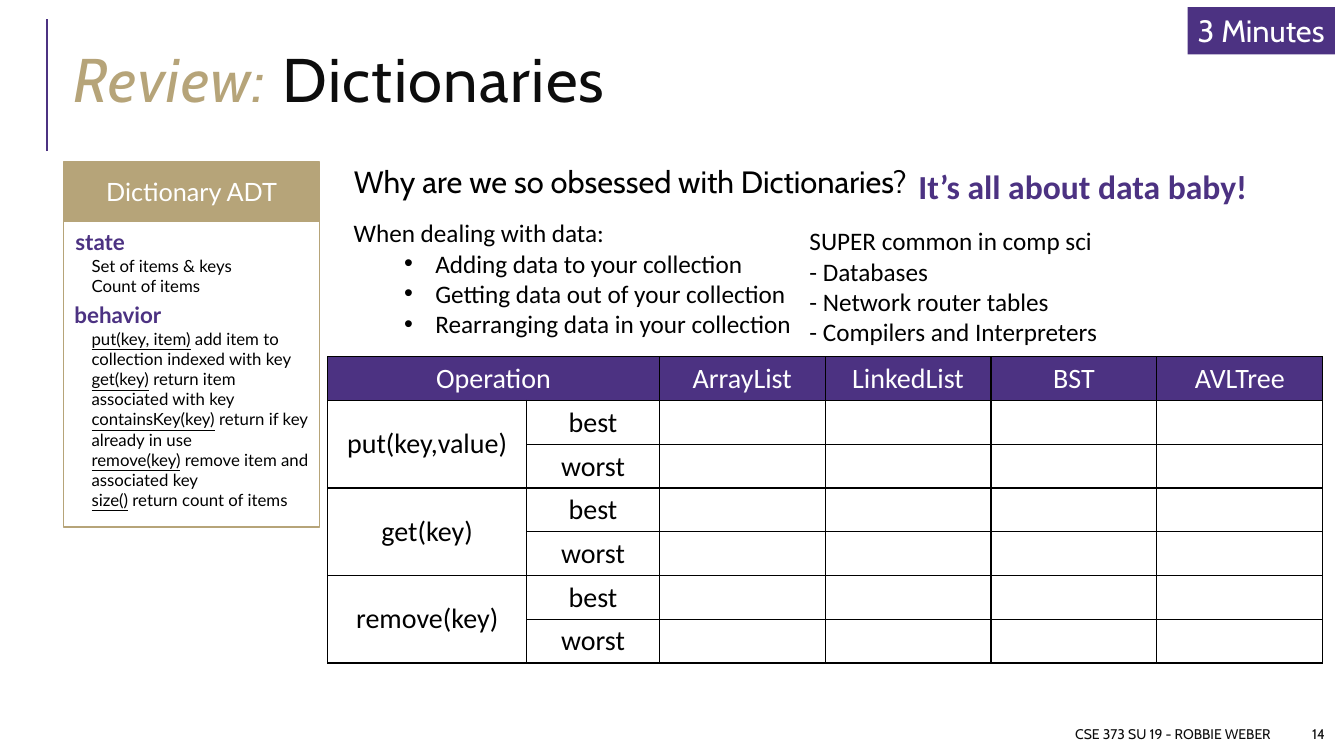
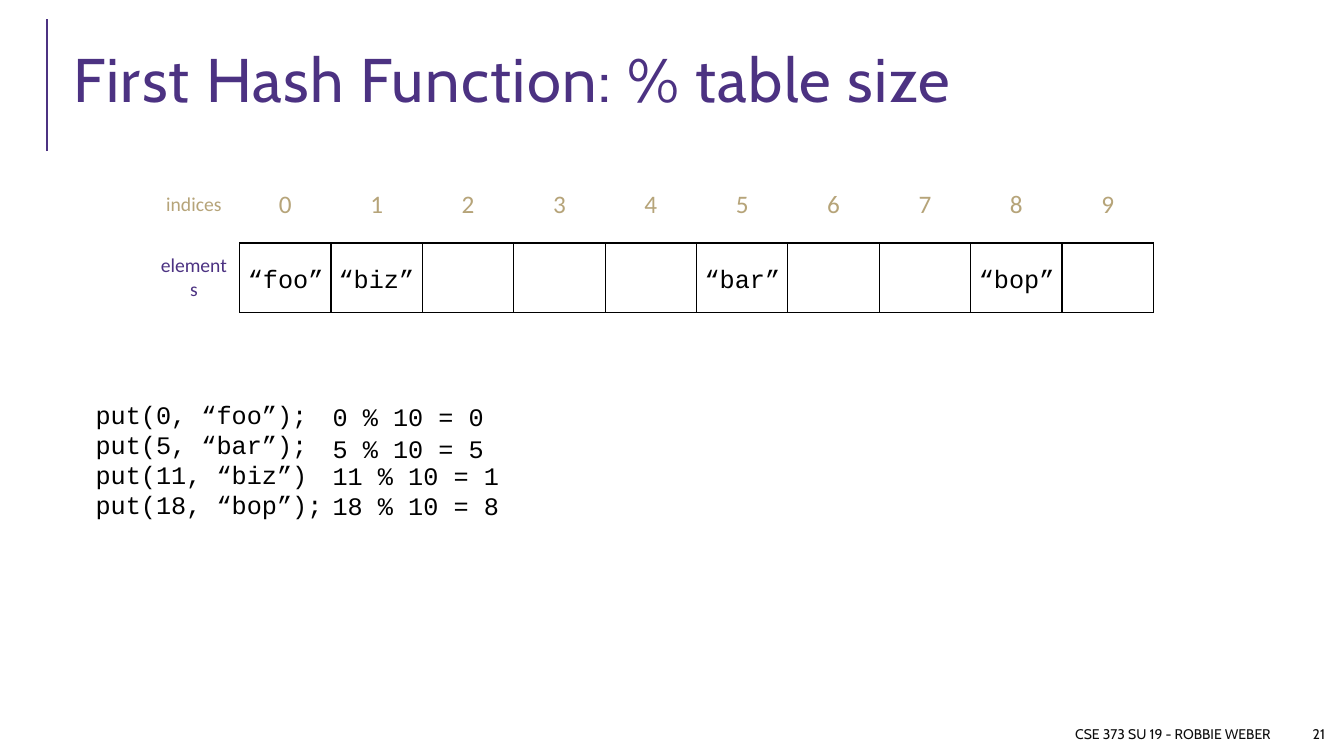
from dataclasses import dataclass
from typing import Sequence

from lxml import etree
from pptx import Presentation
from pptx import util as u
from pptx.dml.color import RGBColor
from pptx.enum import shapes, text as t
from pptx.oxml.ns import qn

PX = 9144  # EMU in one px, 100 px to the inch
PLUM, GOLD, INK, BLACK, WHITE = "4C3282", "B6A479", "0D0D0D", "000000", "FFFFFF"
HEAD, BODY, CARD, CODE = "Cabin", "Calibri", "Lato", "Courier New"
LEFT, MID, RIGHT = t.PP_ALIGN.LEFT, t.PP_ALIGN.CENTER, t.PP_ALIGN.RIGHT
TOP, CENTER = t.MSO_ANCHOR.TOP, t.MSO_ANCHOR.MIDDLE


@dataclass
class Run:
    txt: str
    color: str | None = None
    ital: bool = False
    under: bool = False


@dataclass
class Para:
    runs: Sequence[Run]
    bullet: bool = False


@dataclass
class Box:
    x: int
    y: int
    w: int
    h: int


@dataclass
class Put:
    key: int
    word: str
    y: int
    end: str = ";"


def px(n: float) -> int:
    return round(n * PX)


def rgb(code: str) -> RGBColor:
    return RGBColor.from_string(code)


def place(box: Box) -> list[int]:
    return [px(n) for n in (box.x, box.y, box.w, box.h)]


def dot(par) -> None:
    """Give a paragraph a hanging bullet."""
    props = par._p.get_or_add_pPr()
    props.set("marL", str(px(81)))
    props.set("indent", str(px(-31)))
    etree.SubElement(props, qn("a:buFont")).set("typeface", "Arial")
    etree.SubElement(props, qn("a:buChar")).set("char", "•")


def write(frame, paras: Sequence[str | Para], *, size: int, font: str = BODY,
          color: str = BLACK, bold: bool = False, align=LEFT, lead: float | None = None,
          track: int = 0) -> None:
    """Fill a text frame; lead is line spacing, track is letter spacing in points."""
    for i, item in enumerate(paras):
        para = Para([Run(item)]) if isinstance(item, str) else item
        par = frame.paragraphs[0] if i == 0 else frame.add_paragraph()
        if para.bullet:
            dot(par)
        par.alignment = align
        if lead:
            par.line_spacing = lead
        for part in para.runs:
            run = par.add_run()
            run.text = part.txt
            face = run.font
            face.name, face.size, face.bold = font, u.Pt(size), bold
            face.italic, face.underline = part.ital, part.under
            face.color.rgb = rgb(part.color or color)
            if track:
                run._r.get_or_add_rPr().set("spc", str(track * 100))


def label(slide, box: Box, *paras: str | Para, wrap: bool = True, anchor=TOP,
          inset: int | None = None, **style) -> None:
    frame = slide.shapes.add_textbox(*place(box)).text_frame
    frame.word_wrap, frame.vertical_anchor = wrap, anchor
    if inset is not None:
        frame.margin_left = frame.margin_right = px(inset)
        frame.margin_top = frame.margin_bottom = px(inset)
    write(frame, paras, **style)


def block(slide, box: Box, fill: str | None = None, line: str | None = None):
    """Draw a rectangle and return its text frame."""
    rect = slide.shapes.add_shape(shapes.MSO_SHAPE.RECTANGLE, *place(box))
    rect.shadow.inherit = False
    if fill:
        rect.fill.solid()
        rect.fill.fore_color.rgb = rgb(fill)
    else:
        rect.fill.background()
    if line:
        rect.line.color.rgb = rgb(line)
        rect.line.width = u.Pt(1.25)
    else:
        rect.line.fill.background()
    return rect.text_frame


def edge(cell, sides: dict[str, str]) -> None:
    """Colour the one-point borders named L, R, T and B."""
    props = cell._tc.get_or_add_tcPr()
    for i, side in enumerate(s for s in "LRTB" if s in sides):
        line = etree.Element(qn(f"a:ln{side}"), w=str(u.Pt(1)))
        fill = etree.SubElement(line, qn("a:solidFill"))
        etree.SubElement(fill, qn("a:srgbClr")).set("val", sides[side])
        props.insert(i, line)


def grid(slide, box: Box, shares: Sequence[int], rows: Sequence[int]):
    """Add a plain table whose columns split the width by shares."""
    table = slide.shapes.add_table(len(rows), len(shares), *place(box)).table
    table.first_row = table.horz_banding = False
    for col, share in zip(table.columns, shares):
        col.width = px(box.w * share / sum(shares))
    for row, high in zip(table.rows, rows):
        row.height = px(high)
    for cell in table.iter_cells():
        cell.fill.background()
        cell.vertical_anchor = CENTER
    return table


def base(deck, title: Para | str, page: int):
    """Start a slide with the rule, title and footer."""
    slide = deck.slides.add_slide(deck.slide_layouts[6])
    rule = slide.shapes.add_connector(
        shapes.MSO_CONNECTOR.STRAIGHT, px(47), px(150), px(47), px(19))
    rule.line.color.rgb = rgb(PLUM)
    rule.line.width = u.Pt(1.5)
    etree.SubElement(rule._element.spPr, qn("a:effectLst"))
    label(slide, Box(63, 29, 1223, 111), title, anchor=CENTER, size=44,
          font=HEAD, color=PLUM, lead=0.8, track=1)
    for box, txt in ((Box(625, 713, 645, 30), "CSE 373 SU 19 - ROBBIE WEBER"),
                     (Box(1278, 713, 46, 30), str(page))):
        label(slide, box, txt, anchor=CENTER, size=10, font=HEAD, color=INK, align=RIGHT)
    return slide


def card(slide) -> None:
    block(slide, Box(63, 219, 254, 304), line=GOLD)
    head = block(slide, Box(63, 161, 254, 58), GOLD, GOLD)
    head.vertical_anchor = CENTER
    write(head, ["Dictionary ADT"], size=18, font=CARD, color=WHITE, align=MID)
    calls = (("put(key, item)", " add item to collection indexed with key"),
             ("get(key)", " return item associated with key"),
             ("containsKey(key)", " return if key already in use"),
             ("remove(key)", " remove item and associated key"),
             ("size()", " return count of items"))
    label(slide, Box(81, 321, 235, 192),
          *(Para([Run(name, under=True), Run(does)]) for name, does in calls),
          size=12, font=CARD)
    for box, txt in ((Box(65, 221, 223, 37), "state"), (Box(64, 294, 223, 37), "behavior")):
        label(slide, box, txt, size=16, font=CARD, color=PLUM, bold=True)
    label(slide, Box(81, 249, 223, 50), "Set of items & keys", "Count of items",
          size=12, font=CARD)


def costs(slide) -> None:
    """Draw the blank table of best and worst cases."""
    table = grid(slide, Box(325, 354, 987, 303), (12, 8, 10, 10, 10, 10), [43] * 7)
    for cell in table.iter_cells():
        edge(cell, dict.fromkeys("LRTB", BLACK))
    heads = ("Operation", "", "ArrayList", "LinkedList", "BST", "AVLTree")
    for col, txt in enumerate(heads):
        cell = table.cell(0, col)
        cell.fill.solid()
        cell.fill.fore_color.rgb = rgb(PLUM)
        if txt:
            write(cell.text_frame, [txt], size=20, color=WHITE, align=MID)
    table.cell(0, 0).merge(table.cell(0, 1))
    for i, name in enumerate(("put(key,value)", "get(key)", "remove(key)")):
        row = 1 + 2 * i
        table.cell(row, 0).merge(table.cell(row + 1, 0))
        for cell, txt in ((table.cell(row, 0), name), (table.cell(row, 1), "best"),
                          (table.cell(row + 1, 1), "worst")):
            write(cell.text_frame, [txt], size=20, align=MID)


def review(deck) -> None:
    title = Para([Run("Review:", GOLD, ital=True), Run(" Dictionaries", INK)])
    slide = base(deck, title, 14)
    label(slide, Box(346, 161, 905, 59), "Why are we so obsessed with Dictionaries?",
          inset=5, size=22, font=HEAD, lead=0.9)
    timer = block(slide, Box(1178, 7, 146, 47), PLUM)
    timer.word_wrap, timer.vertical_anchor = False, TOP
    write(timer, ["3 Minutes"], size=22, font=HEAD, color=WHITE)
    label(slide, Box(901, 160, 350, 50), "It’s all about data baby!", wrap=False,
          size=24, color=PLUM, bold=True)
    card(slide)
    tasks = ("Adding data to", "Getting data out of", "Rearranging data in")
    label(slide, Box(341, 211, 667, 131), "When dealing with data:",
          *(Para([Run(f"{task} your collection")], bullet=True) for task in tasks), size=18)
    costs(slide)
    label(slide, Box(793, 219, 371, 131), "SUPER common in comp sci", "- Databases",
          "- Network router tables", "- Compilers and Interpreters", size=18)


def hashing(deck) -> None:
    slide = base(deck, "First Hash Function: % table size", 21)
    slots = 10
    area = Box(147, 165, 997, 145)
    table = grid(slide, area, [1] * (slots + 1), (76, 69))
    for row, (txt, color) in enumerate((("indices", GOLD), ("elements", PLUM))):
        write(table.cell(row, 0).text_frame, [txt], size=14, color=color, align=MID)
    edge(table.cell(1, 0), {"R": BLACK})
    for i in range(slots):
        top = table.cell(0, i + 1)
        write(top.text_frame, [str(i)], size=18, color=GOLD, align=MID)
        edge(top, dict.fromkeys("LRT" if i else "RT", WHITE) | {"B": BLACK})
        edge(table.cell(1, i + 1), dict.fromkeys("LRTB", BLACK))

    puts = (Put(0, "foo", 393), Put(5, "bar", 425), Put(11, "biz", 452, ""),
            Put(18, "bop", 482))
    style = dict(wrap=False, size=18, font=CODE)
    label(slide, Box(85, 391, 246, 131),
          *(f"put({p.key}, “{p.word}”){p.end}" for p in puts), **style)
    for p in puts:
        slot = p.key % slots
        step = f"{p.key} % {slots} = {slot}"
        label(slide, Box(320, p.y, 171 if p.key < 10 else 186, 40), step, **style)
        left = 236 + area.w * slot // (slots + 1)
        label(slide, Box(left, 256, 96, 40), f"“{p.word}”", **style)


def main() -> None:
    deck = Presentation()
    deck.slide_width, deck.slide_height = px(1333), px(750)
    review(deck)
    hashing(deck)
    deck.save("out.pptx")


if __name__ == "__main__":
    main()
